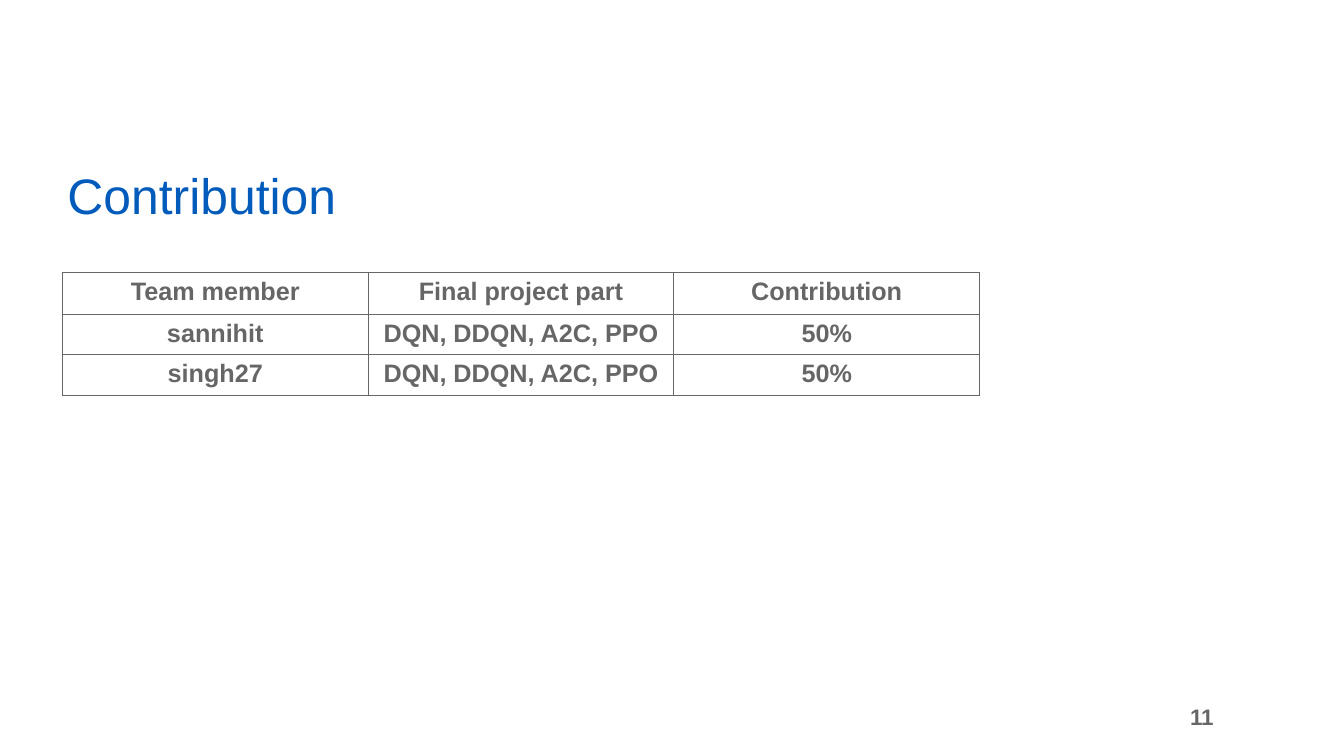
"""Build the team contribution slide with a title, a table and a page number."""
from dataclasses import dataclass

import lxml.etree
import pptx
import pptx.dml.color
import pptx.enum.text
import pptx.oxml.ns
import pptx.util

Pt = pptx.util.Pt
RGB = pptx.dml.color.RGBColor
ALIGN = pptx.enum.text.PP_ALIGN
ANCHOR = pptx.enum.text.MSO_ANCHOR
qn = pptx.oxml.ns.qn


@dataclass(frozen=True)
class Theme:
    font: str = "Arial"
    blue: str = "005BBB"
    gray: str = "666666"
    title_size: float = 35.6
    table_size: float = 18
    number_size: float = 16
    inset: float = 3.6
    border: float = 1


class Deck:
    def __init__(self, theme, width, height):
        self.theme = theme
        self.prs = pptx.Presentation()
        self.prs.slide_width, self.prs.slide_height = Pt(width), Pt(height)
        self.s = None

    def add_slide(self):
        self.s = self.prs.slides.add_slide(self.prs.slide_layouts[5])

    def format_text(self, tf, size, color, bold, align):
        for p in tf.paragraphs:
            p.alignment = align
            for r in p.runs:
                r.font.name = self.theme.font
                r.font.size = Pt(size)
                r.font.bold = bold
                r.font.color.rgb = RGB.from_string(color)

    def set_frame(self, tf, anchor, wrap):
        inset = Pt(self.theme.inset)
        tf.margin_left = tf.margin_right = inset
        tf.margin_top = tf.margin_bottom = inset
        tf.vertical_anchor = anchor
        tf.word_wrap = wrap

    def title(self, text, left, top, width, height):
        sp = self.s.shapes.title
        sp.left, sp.top, sp.width, sp.height = map(Pt, (left, top, width, height))
        tf = sp.text_frame
        tf.text = text
        tf.auto_size = pptx.enum.text.MSO_AUTO_SIZE.NONE
        self.set_frame(tf, ANCHOR.BOTTOM, True)
        tf.paragraphs[0].line_spacing = 0.9
        self.format_text(tf, self.theme.title_size, self.theme.blue, False, ALIGN.LEFT)

    def page_number(self, text, left, top, width, height):
        sp = self.s.shapes.add_textbox(*map(Pt, (left, top, width, height)))
        tf = sp.text_frame
        tf.text = text
        self.set_frame(tf, ANCHOR.MIDDLE, False)
        self.format_text(tf, self.theme.number_size, self.theme.gray, True, ALIGN.RIGHT)

    def cell_borders(self, cell):
        props = cell._tc.get_or_add_tcPr()
        for i, side in enumerate(("a:lnL", "a:lnR", "a:lnT", "a:lnB")):
            ln = lxml.etree.Element(qn(side), w=str(Pt(self.theme.border)))
            fill = lxml.etree.SubElement(ln, qn("a:solidFill"))
            lxml.etree.SubElement(fill, qn("a:srgbClr"), val=self.theme.gray)
            props.insert(i, ln)

    def table(self, rows, left, top, col_width, row_heights):
        n_cols = len(rows[0])
        frame = self.s.shapes.add_table(
            len(rows), n_cols, Pt(left), Pt(top),
            Pt(col_width * n_cols), Pt(sum(row_heights)))
        table = frame.table
        table.first_row = table.horz_banding = False
        for col in table.columns:
            col.width = Pt(col_width)
        for row, height, texts in zip(table.rows, row_heights, rows):
            row.height = Pt(height)
            for cell, text in zip(row.cells, texts):
                cell.text_frame.text = text
                cell.fill.background()
                self.cell_borders(cell)
                self.format_text(cell.text_frame, self.theme.table_size,
                                 self.theme.gray, True, ALIGN.CENTER)


def main():
    deck = Deck(Theme(), 960, 540)
    deck.add_slide()
    left = 44.6
    deck.page_number("11", 845.3, 499.7, 25.2, 24.5)
    deck.title("Contribution", left, 118, 335, 46.8)
    parts = "DQN, DDQN, A2C, PPO"
    deck.table(
        [("Team member", "Final project part", "Contribution"),
         ("sannihit", parts, "50%"),
         ("singh27", parts, "50%")],
        left, 194.4, 218.4, (30.2, 26.7, 26.7))
    deck.prs.save("out.pptx")


if __name__ == "__main__":
    main()
